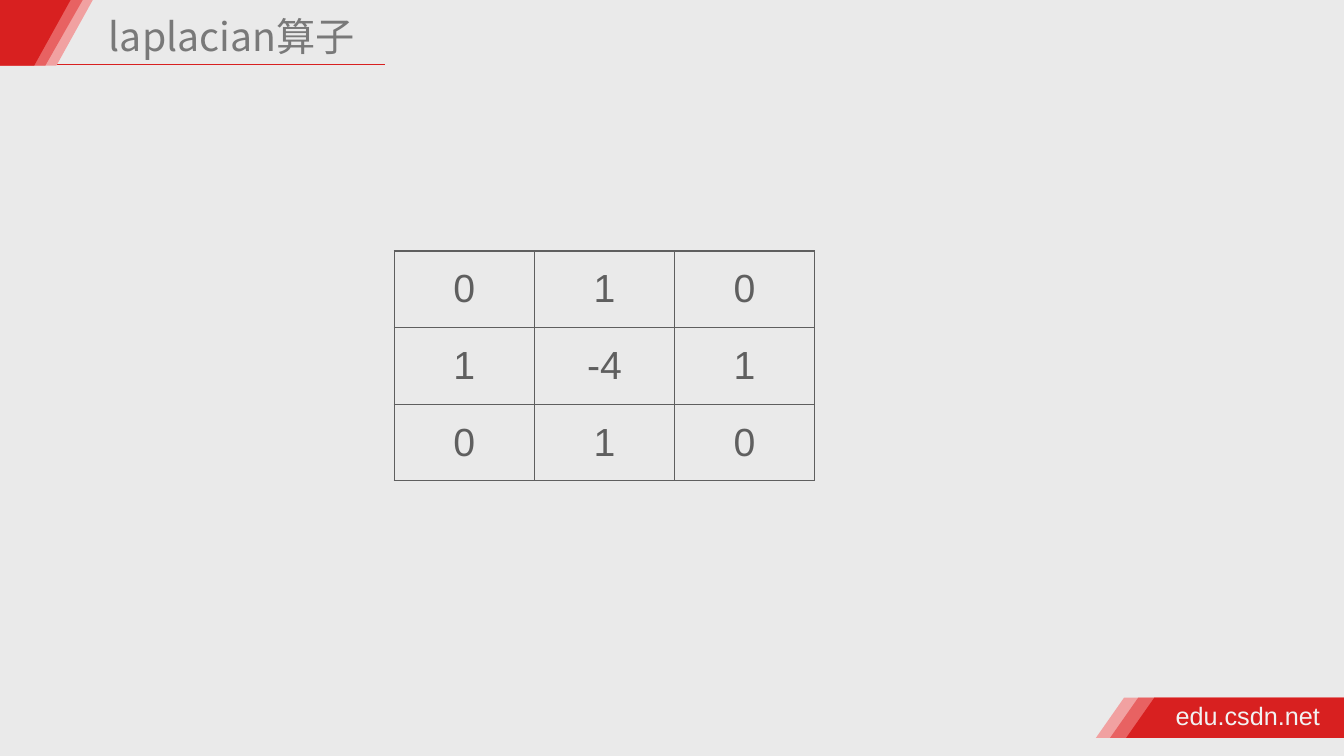
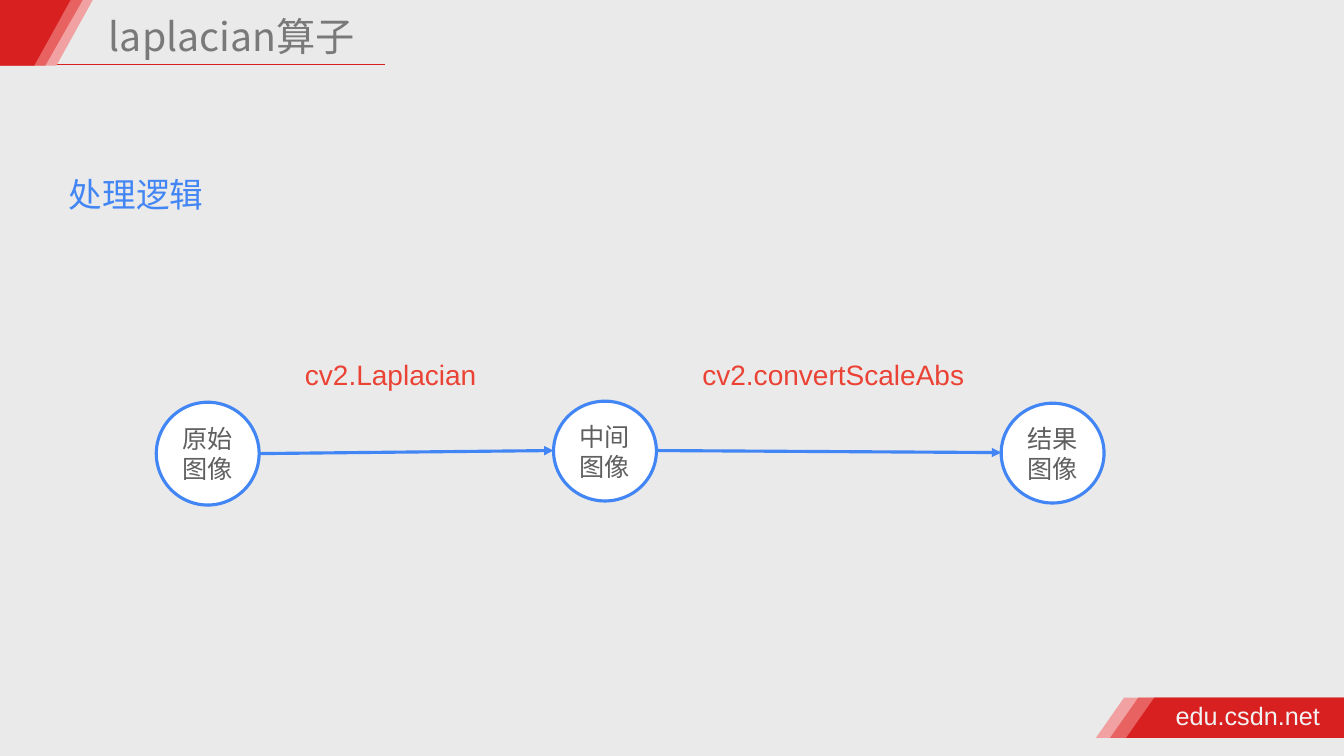
"""Build two slides on the Laplacian operator: its kernel and its processing steps."""
from dataclasses import dataclass
from itertools import pairwise

from lxml import etree
from pptx import Presentation
from pptx.dml.color import RGBColor
from pptx.enum.shapes import MSO_CONNECTOR, MSO_SHAPE
from pptx.enum.text import MSO_ANCHOR, PP_ALIGN
from pptx.oxml.ns import qn
from pptx.util import Pt

PX = 9144
STRAIGHT, OVAL = MSO_CONNECTOR.STRAIGHT, MSO_SHAPE.OVAL
LEFT, CENTER = PP_ALIGN.LEFT, PP_ALIGN.CENTER
TOP, MIDDLE = MSO_ANCHOR.TOP, MSO_ANCHOR.MIDDLE


@dataclass(frozen=True)
class Theme:
    """Colours, fonts and type sizes."""
    background: str = "EAEAEA"
    bands: tuple = ("F1A1A1", "E86262", "D82020")
    red: str = "D82020"
    title: str = "797979"
    footer: str = "F2F2F2"
    body: str = "5F5F5F"
    blue: str = "4285F4"
    call: str = "EA4335"
    white: str = "FFFFFF"
    latin: str = "Arial"
    chinese: str = "Noto Sans CJK SC"
    large: int = 28
    heading: int = 24
    label: int = 20
    small: int = 18
    thin: float = 1
    thick: float = 2.25


THEME = Theme()
SLIDE_SIZE = (1333, 750)
TITLE = "laplacian算子"
FOOTER = "edu.csdn.net"
KERNEL = [
    ("0", "1", "0"),
    ("1", "-4", "1"),
    ("0", "1", "0"),
]
KERNEL_ORIGIN, KERNEL_CELL = (391, 249), (139, 76)
HEADING = "处理逻辑"
STAGES = [
    ("原始图像", (155, 399, 102, 102)),
    ("中间图像", (549, 398, 102, 99)),
    ("结果图像", (993, 400, 102, 99)),
]
CALLS = [
    ("cv2.Laplacian", (290, 350, 195, 44)),
    ("cv2.convertScaleAbs", (654, 350, 345, 44)),
]
CORNER_BANDS = [(92, 56), (82, 45), (70, 34)]
CORNER_HEIGHT = 65
FOOTER_BANDS = [1087, 1101, 1117]
FOOTER_TOP, FOOTER_HEIGHT, FOOTER_SLANT = 692, 40, 28


def emu(*lengths):
    return [length * PX for length in lengths]


def color(value):
    return RGBColor.from_string(value)


def write(frame, text, size, ink, font=THEME.latin, align=LEFT, anchor=TOP,
          side=5, wrap=True, spacing=None):
    frame.word_wrap = wrap
    frame.vertical_anchor = anchor
    frame.margin_left = frame.margin_right = side * PX
    frame.margin_top = frame.margin_bottom = 5 * PX
    style(frame.paragraphs[0], text, size, ink, font, align, spacing)


def style(para, text, size, ink, font=THEME.latin, align=LEFT, spacing=None):
    para.alignment = align
    para.line_spacing = spacing
    span = para.add_run()
    span.text = text
    span.font.size = Pt(size)
    span.font.color.rgb = color(ink)
    span.font.name = font
    east_asian = etree.SubElement(span.font._element, qn("a:ea"))
    east_asian.set("typeface", font)


def add_text(page, area, text, size, ink, **layout):
    box = page.shapes.add_textbox(*emu(*area))
    write(box.text_frame, text, size, ink, **layout)


def add_band(page, corners, fill):
    builder = page.shapes.build_freeform(*corners[0], scale=PX)
    builder.add_line_segments(corners[1:], close=True)
    band = builder.convert_to_shape()
    band.shadow.inherit = False
    band.fill.solid()
    band.fill.fore_color.rgb = color(fill)
    band.line.fill.background()


def add_line(page, start, end, ink, width, arrow=False):
    line = page.shapes.add_connector(STRAIGHT, *emu(*start, *end))
    line.line.color.rgb = color(ink)
    line.line.width = Pt(width)
    properties = line._element.spPr
    if arrow:
        tail = etree.SubElement(properties.find(qn("a:ln")), qn("a:tailEnd"))
        tail.set("type", "triangle")
    etree.SubElement(properties, qn("a:effectLst"))


def add_page(deck):
    page = deck.slides.add_slide(deck.slide_layouts[6])
    right, bottom = SLIDE_SIZE[0], FOOTER_TOP + FOOTER_HEIGHT
    add_line(page, (49, 64), (382, 64), THEME.red, THEME.thin)
    for left, fill in zip(FOOTER_BANDS, THEME.bands):
        add_band(page, [(left + FOOTER_SLANT, FOOTER_TOP), (right, FOOTER_TOP),
                        (right, bottom), (left, bottom)], fill)
    for (upper, lower), fill in zip(CORNER_BANDS, THEME.bands):
        add_band(page, [(0, 0), (upper, 0), (lower, CORNER_HEIGHT), (0, CORNER_HEIGHT)], fill)
    add_text(page, (1161, 690, 155, 40), FOOTER, THEME.small, THEME.footer, wrap=False)
    add_text(page, (103, 13, 309, 65), TITLE, THEME.large, THEME.title,
             font=THEME.chinese, spacing=0.9)
    return page


def format_cell(cell, text):
    cell.vertical_anchor = MIDDLE
    cell.margin_left = cell.margin_right = 30 * PX
    cell.margin_top = cell.margin_bottom = 0
    style(cell.text_frame.paragraphs[0], text, THEME.large, THEME.body, align=CENTER)
    properties = cell._tc.get_or_add_tcPr()
    for side in ("lnL", "lnR", "lnT", "lnB"):
        border = etree.SubElement(properties, qn(f"a:{side}"), w=str(Pt(THEME.thin)))
        fill = etree.SubElement(border, qn("a:solidFill"))
        etree.SubElement(fill, qn("a:srgbClr"), val=THEME.body)
    cell.fill.background()


def add_kernel(page):
    rows, columns = len(KERNEL), len(KERNEL[0])
    width, height = KERNEL_CELL
    table = page.shapes.add_table(
        rows, columns, *emu(*KERNEL_ORIGIN, columns * width, rows * height)).table
    table.first_row = table.horz_banding = False
    for row, values in enumerate(KERNEL):
        for column, value in enumerate(values):
            format_cell(table.cell(row, column), value)


def add_stage(page, text, area):
    stage = page.shapes.add_shape(OVAL, *emu(*area))
    stage.shadow.inherit = False
    stage.fill.solid()
    stage.fill.fore_color.rgb = color(THEME.white)
    stage.line.color.rgb = color(THEME.blue)
    stage.line.width = Pt(THEME.thick)
    write(stage.text_frame, text, THEME.small, THEME.body,
          font=THEME.chinese, align=CENTER, anchor=MIDDLE)


def add_process(page):
    add_text(page, (13, 168, 244, 50), HEADING, THEME.heading, THEME.blue,
             font=THEME.chinese, align=CENTER, side=10)
    for text, area in STAGES:
        add_stage(page, text, area)
    areas = [area for _, area in STAGES]
    for (left, top, width, height), (target, target_top, _, target_height) in pairwise(areas):
        add_line(page, (left + width, top + height // 2),
                 (target, target_top + target_height // 2),
                 THEME.blue, THEME.thick, arrow=True)
    for text, area in CALLS:
        add_text(page, area, text, THEME.label, THEME.call, align=CENTER, side=10)


def main():
    deck = Presentation()
    deck.slide_width, deck.slide_height = emu(*SLIDE_SIZE)
    backdrop = deck.slide_master.background.fill
    backdrop.solid()
    backdrop.fore_color.rgb = color(THEME.background)
    for add_content in (add_kernel, add_process):
        add_content(add_page(deck))
    deck.save("out.pptx")


if __name__ == "__main__":
    main()
